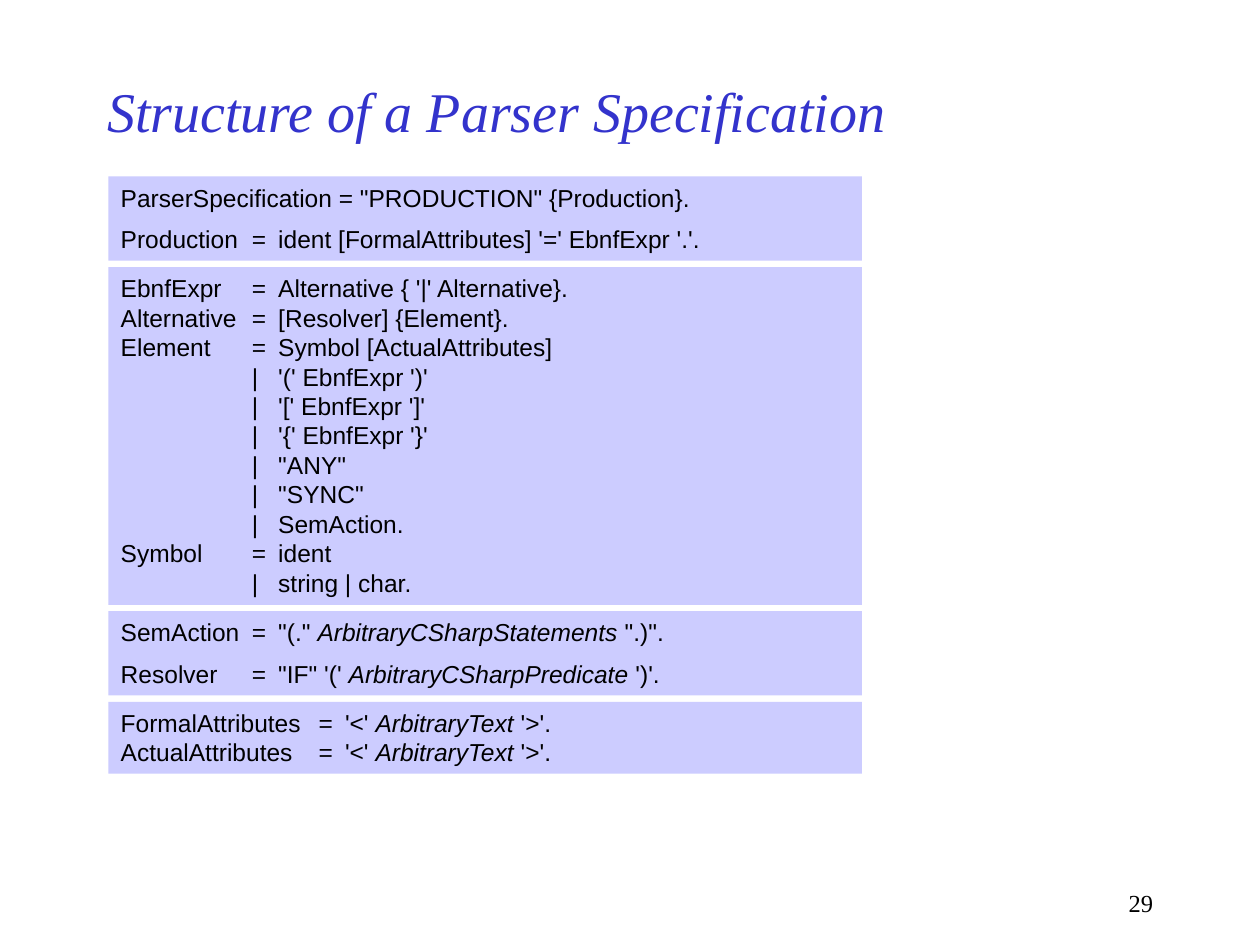
from pptx import Presentation
from pptx.dml.color import RGBColor
from pptx.enum.shapes import MSO_SHAPE
from pptx.enum.text import MSO_ANCHOR, PP_ALIGN
from pptx.oxml.ns import qn
from pptx.util import Inches, Pt
from lxml.etree import SubElement

TITLE = "Structure of a Parser Specification"
PAGE = "29"

# (box height, space before each later line, lines); *...* marks italics
GRAMMAR = [
    (0.67, 7, [
        "ParserSpecification = \"PRODUCTION\" {Production}.",
        "Production\t=\tident [FormalAttributes] '=' EbnfExpr '.'.",
    ]),
    (2.68, 0, [
        "EbnfExpr\t=\tAlternative { '|' Alternative}.",
        "Alternative\t=\t[Resolver] {Element}.",
        "Element\t=\tSymbol [ActualAttributes]",
        "\t|\t'(' EbnfExpr ')'",
        "\t|\t'[' EbnfExpr ']'",
        "\t|\t'{' EbnfExpr '}'",
        "\t|\t\"ANY\"",
        "\t|\t\"SYNC\"",
        "\t|\tSemAction.",
        "Symbol\t=\tident",
        "\t|\tstring | char.",
    ]),
    (0.67, 7, [
        "SemAction\t=\t\"(.\" *ArbitraryCSharpStatements* \".)\".",
        "Resolver\t=\t\"IF\" '(' *ArbitraryCSharpPredicate* ')'.",
    ]),
    (0.57, 0, [
        "FormalAttributes\t=\t'<' *ArbitraryText* '>'.",
        "ActualAttributes\t=\t'<' *ArbitraryText* '>'.",
    ]),
]

THEME = {
    "title": ("Times New Roman", 32, RGBColor(0x33, 0x33, 0xCC)),
    "code": ("Arial", 14, RGBColor(0, 0, 0)),
    "page": ("Times New Roman", 14, RGBColor(0, 0, 0)),
    "box": RGBColor(0xCC, 0xCC, 0xFF),
}
LEFT, TOP, WIDTH, GAP = 0.86, 1.4, 5.98, 0.05
TABS = [1.04, 1.25, 1.57, 1.78, 2, 3, 4]


def add_run(p, text, style, italic=False):
    r = p.add_run()
    r.text = text
    r.font.name, size, r.font.color.rgb = THEME[style]
    r.font.size = Pt(size)
    r.font.italic = italic


def set_tabs(p):
    tabs = SubElement(p._p.get_or_add_pPr(), qn("a:tabLst"))
    for pos in TABS:
        SubElement(tabs, qn("a:tab"), pos=str(Inches(pos)), algn="l")


def add_grammar_box(s, top, height, space, lines):
    sp = s.shapes.add_shape(MSO_SHAPE.RECTANGLE, Inches(LEFT), Inches(top),
                            Inches(WIDTH), Inches(height))
    sp.shadow.inherit = False
    sp.fill.solid()
    sp.fill.fore_color.rgb = THEME["box"]
    sp.line.fill.background()
    tf = sp.text_frame
    tf.word_wrap = True
    tf.vertical_anchor = MSO_ANCHOR.TOP
    for i, line in enumerate(lines):
        p = tf.add_paragraph() if i else tf.paragraphs[0]
        p.alignment = PP_ALIGN.LEFT
        p.space_before = Pt(space if i else 0)
        set_tabs(p)
        for j, part in enumerate(line.split("*")):
            add_run(p, part, "code", italic=j % 2 == 1)


def main():
    prs = Presentation()
    prs.slide_width, prs.slide_height = Inches(10), Inches(7.5)
    s = prs.slides.add_slide(prs.slide_layouts[5])

    title = s.shapes.title
    title.left, title.top = Inches(0.75), Inches(0.5)
    title.width, title.height = Inches(7.5), Inches(0.75)
    tf = title.text_frame
    tf.vertical_anchor = MSO_ANCHOR.MIDDLE
    tf.paragraphs[0].alignment = PP_ALIGN.LEFT
    add_run(tf.paragraphs[0], TITLE, "title", italic=True)

    top = TOP
    for height, space, lines in GRAMMAR:
        add_grammar_box(s, top, height, space, lines)
        top += height + GAP

    page = s.shapes.add_textbox(Inches(7.17), Inches(7), Inches(2.08), Inches(0.33))
    page.text_frame.word_wrap = True
    p = page.text_frame.paragraphs[0]
    p.alignment = PP_ALIGN.RIGHT
    add_run(p, PAGE, "page")

    prs.save("out.pptx")


if __name__ == "__main__":
    main()
